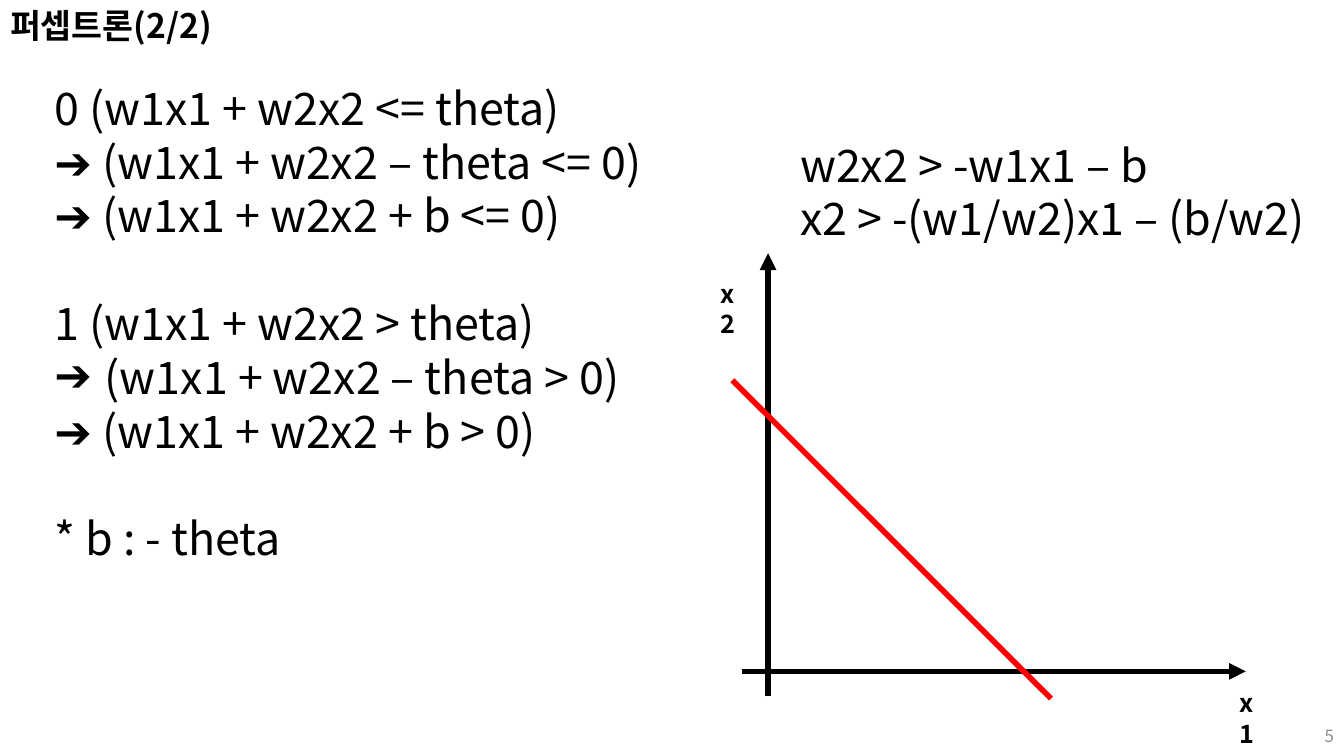
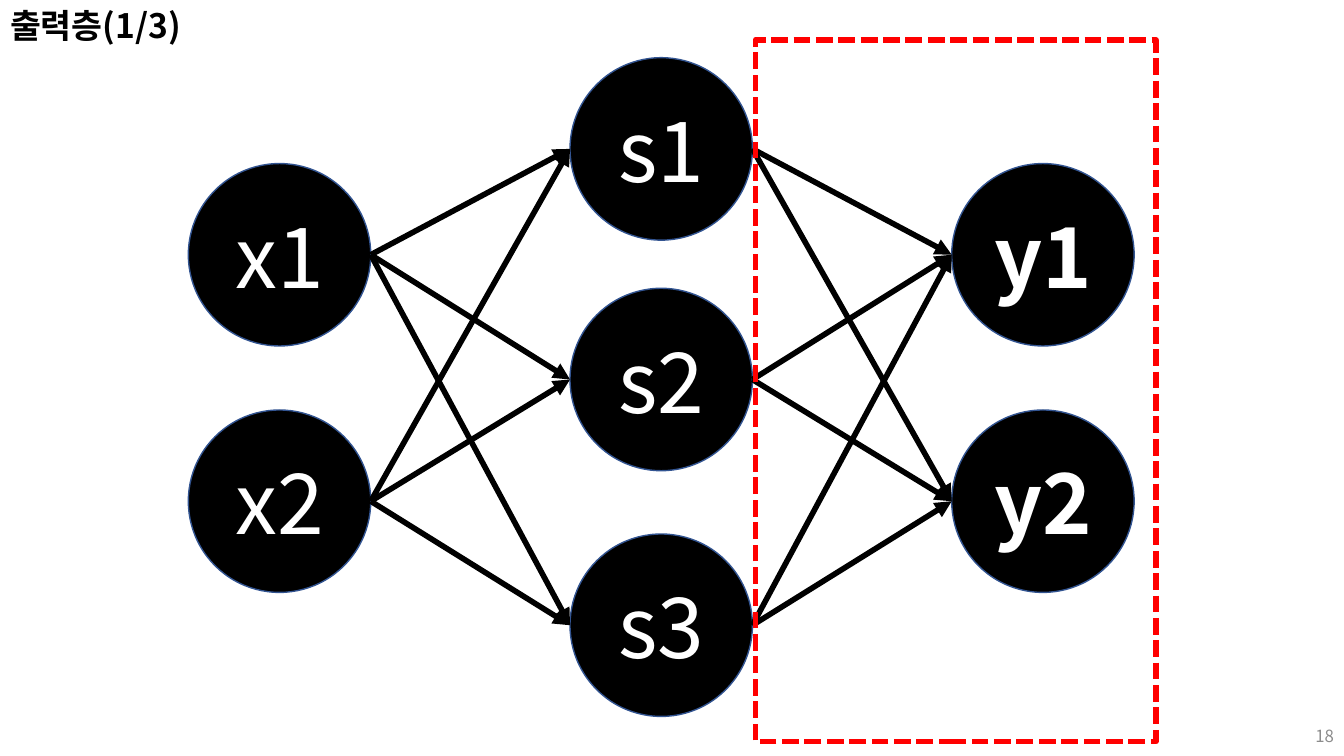
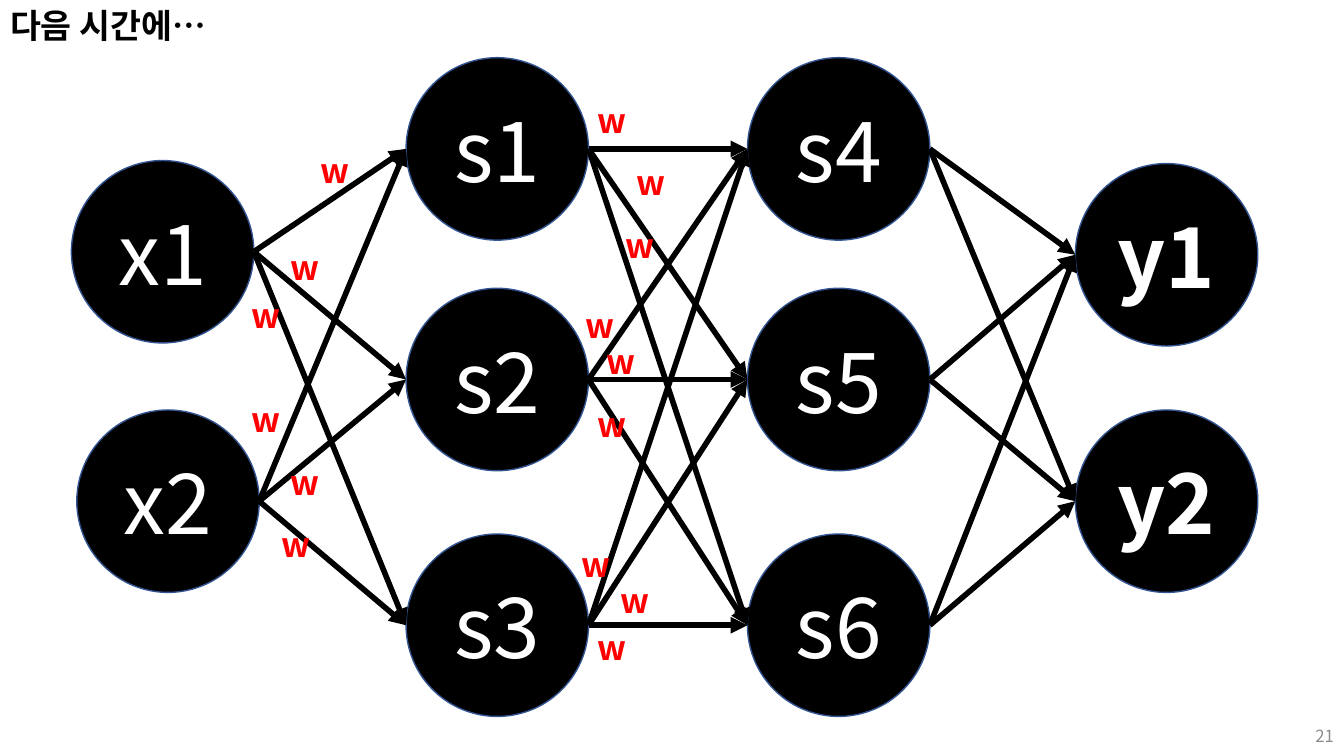
"""Three lecture slides on perceptrons and layered networks."""
from dataclasses import dataclass
from itertools import product
from typing import NamedTuple

from lxml import etree
from pptx import Presentation, util as u
from pptx.dml.color import RGBColor
from pptx.enum import dml, shapes, text
from pptx.oxml.ns import qn

COLORS = {"ink": "000000", "paper": "FFFFFF", "accent": "FF0000", "rim": "325491", "number": "8C8C8C"}
FONT = "Noto Sans CJK KR"
WIDTH, HEIGHT = u.Inches(13.333), u.Inches(7.5)
DIAMETER = u.Inches(1.81)
STROKE = 4
LAYER_OF_TWO = (33.7, 66.3)
LAYER_OF_THREE = (19.7, 50.2, 82.7)


class Area(NamedTuple):
    """Left, top, width and height in percent of the slide."""
    left: float
    top: float
    width: float
    height: float

    def lengths(self) -> tuple:
        return across(self.left), down(self.top), across(self.width), down(self.height)


class Point(NamedTuple):
    """Position in percent of the slide."""
    x: float
    y: float


@dataclass
class Line:
    """Paragraph with an optional arrow bullet and lines of space above."""
    words: str
    bullet: str = ""
    gap: int = 0


@dataclass
class Neuron:
    """Labelled circle around a centre point."""
    label: str
    center: Point
    bold: bool = False


def across(percent: float) -> int:
    return round(WIDTH * percent / 100)


def down(percent: float) -> int:
    return round(HEIGHT * percent / 100)


def rgb(color: str) -> RGBColor:
    return RGBColor.from_string(COLORS[color])


def write(frame, *lines: Line, size: int, color: str = "ink", bold: bool = False,
          align=text.PP_ALIGN.LEFT, anchor=text.MSO_ANCHOR.TOP, leading: float | None = 1.2) -> None:
    frame.word_wrap = True
    frame.auto_size = text.MSO_AUTO_SIZE.NONE
    frame.vertical_anchor = anchor
    for index, line in enumerate(lines):
        paragraph = frame.add_paragraph() if index else frame.paragraphs[0]
        properties = paragraph._p.get_or_add_pPr()
        hang = u.Inches(0.5) if line.bullet else 0
        properties.set("marL", str(hang))
        properties.set("indent", str(-hang))
        if line.bullet:
            etree.SubElement(properties, qn("a:buChar"), char=line.bullet)
        else:
            etree.SubElement(properties, qn("a:buNone"))
        paragraph.alignment = align
        paragraph.space_before = u.Pt(line.gap * size * 1.2)
        if leading:
            paragraph.line_spacing = u.Pt(size * leading)
        run = paragraph.add_run()
        run.text = line.words
        run.font.size, run.font.bold, run.font.name = u.Pt(size), bold, FONT
        run.font.color.rgb = rgb(color)
        etree.SubElement(run._r.get_or_add_rPr(), qn("a:ea"), typeface=FONT)


def add_text(slide, area: Area, *lines: Line, **style) -> None:
    write(slide.shapes.add_textbox(*area.lengths()).text_frame, *lines, **style)


def place(placeholder, area: Area) -> None:
    placeholder.left, placeholder.top, placeholder.width, placeholder.height = area.lengths()


def start_slide(deck, layout: int, title: str, title_width: float, number: int):
    slide = deck.slides.add_slide(deck.slide_layouts[layout])
    place(slide.shapes.title, Area(0, 0, title_width, 6.7))
    write(slide.shapes.title.text_frame, Line(title), size=24, bold=True)
    add_text(slide, Area(77.5, 94.7, 22.5, 5.3), Line(str(number)), size=12, color="number",
             align=text.PP_ALIGN.RIGHT, anchor=text.MSO_ANCHOR.MIDDLE)
    return slide


def draw_line(slide, start: tuple, end: tuple, color: str = "ink", arrow: bool = True) -> None:
    connector = slide.shapes.add_connector(shapes.MSO_CONNECTOR.STRAIGHT, *start, *end)
    connector.line.color.rgb = rgb(color)
    connector.line.width = u.Pt(STROKE)
    if arrow:
        etree.SubElement(connector.line._get_or_add_ln(), qn("a:tailEnd"), type="triangle")
    etree.SubElement(connector._element.spPr, qn("a:effectLst"))


def draw_neuron(slide, neuron: Neuron) -> None:
    left = across(neuron.center.x) - DIAMETER // 2
    top = down(neuron.center.y) - DIAMETER // 2
    circle = slide.shapes.add_shape(shapes.MSO_SHAPE.OVAL, left, top, DIAMETER, DIAMETER)
    circle.shadow.inherit = False
    circle.fill.solid()
    circle.fill.fore_color.rgb = rgb("ink")
    circle.line.color.rgb = rgb("rim")
    circle.line.width = u.Pt(1)
    write(circle.text_frame, Line(neuron.label), size=60, color="paper", bold=neuron.bold,
          align=text.PP_ALIGN.CENTER, anchor=text.MSO_ANCHOR.MIDDLE, leading=None)


def layer(labels: str, x: float, bold: bool = False) -> list[Neuron]:
    names = labels.split()
    rows = LAYER_OF_TWO if len(names) == 2 else LAYER_OF_THREE
    return [Neuron(name, Point(x, y), bold) for name, y in zip(names, rows)]


def draw_network(slide, layers: list[list[Neuron]]) -> None:
    for neurons in layers:
        for neuron in neurons:
            draw_neuron(slide, neuron)
    for sources, targets in zip(layers, layers[1:]):
        for source, target in product(sources, targets):
            draw_line(slide, (across(source.center.x) + DIAMETER // 2, down(source.center.y)),
                      (across(target.center.x) - DIAMETER // 2, down(target.center.y)))


def perceptron_slide(deck) -> None:
    slide = start_slide(deck, 1, "퍼셉트론(2/2)", 17.5, 5)
    derivation = slide.placeholders[1]
    place(derivation, Area(3.3, 10, 49.4, 66))
    write(derivation.text_frame,
          Line("0 (w1x1 + w2x2 <= theta)"),
          Line("➔ (w1x1 + w2x2 – theta <= 0)"),
          Line("➔ (w1x1 + w2x2 + b <= 0)"),
          Line("1 (w1x1 + w2x2 > theta)", gap=1),
          Line("(w1x1 + w2x2 – theta > 0)", bullet="➔"),
          Line("➔ (w1x1 + w2x2 + b > 0)"),
          Line("* b : - theta", gap=1), size=32)
    for start, end, color in ((Point(57.15, 92.1), Point(57.15, 33.5), "ink"),
                              (Point(55.2, 88.8), Point(92.7, 88.8), "ink"),
                              (Point(54.5, 50.3), Point(78.2, 92.4), "accent")):
        draw_line(slide, (across(start.x), down(start.y)), (across(end.x), down(end.y)),
                  color, arrow=color == "ink")
    for axis, left, top in (("x1", 91.5, 90.3), ("x2", 52.9, 36.1)):
        add_text(slide, Area(left, top, 3.5, 5.3), Line(axis), size=18, bold=True)
    add_text(slide, Area(58.8, 17.5, 40.4, 15.7), Line("w2x2 > -w1x1 – b"),
             Line("x2 > -(w1/w2)x1 – (b/w2)"), size=32)


def output_layer_slide(deck) -> None:
    slide = start_slide(deck, 5, "출력층(1/3)", 15, 18)
    first, step = 20.8, 28.4
    draw_network(slide, [layer("x1 x2", first), layer("s1 s2 s3", first + step),
                         layer("y1 y2", first + 2 * step, bold=True)])
    highlight = slide.shapes.add_shape(shapes.MSO_SHAPE.RECTANGLE, *Area(56.2, 5.3, 29.8, 92.8).lengths())
    highlight.shadow.inherit = False
    highlight.fill.background()
    highlight.line.color.rgb = rgb("accent")
    highlight.line.width = u.Pt(STROKE)
    highlight.line.dash_style = dml.MSO_LINE.SQUARE_DOT


def next_time_slide(deck) -> None:
    slide = start_slide(deck, 5, "다음 시간에…", 17.3, 21)
    inputs = [Neuron("x1", Point(12.1, 33.3)), Neuron("x2", Point(12.5, 66.3))]
    draw_network(slide, [inputs, layer("s1 s2 s3", 37), layer("s4 s5 s6", 62.4),
                         layer("y1 y2", 86.8, bold=True)])
    weights = ((23.1, 19.2), (20.9, 32), (18, 38.4), (18, 52.1), (20.9, 60.4), (20.2, 68.7),
               (43.7, 12.5), (46.6, 20.8), (45.8, 29.1), (42.8, 39.7), (44.4, 44.4),
               (43.7, 52.8), (42.5, 71.3), (45.4, 76), (43.7, 82.3))
    for left, top in weights:
        add_text(slide, Area(left, top, 3.5, 6.7), Line("w"), size=24, color="accent", bold=True)


def main() -> None:
    deck = Presentation()
    deck.slide_width, deck.slide_height = WIDTH, HEIGHT
    perceptron_slide(deck)
    output_layer_slide(deck)
    next_time_slide(deck)
    deck.save("out.pptx")


if __name__ == "__main__":
    main()
